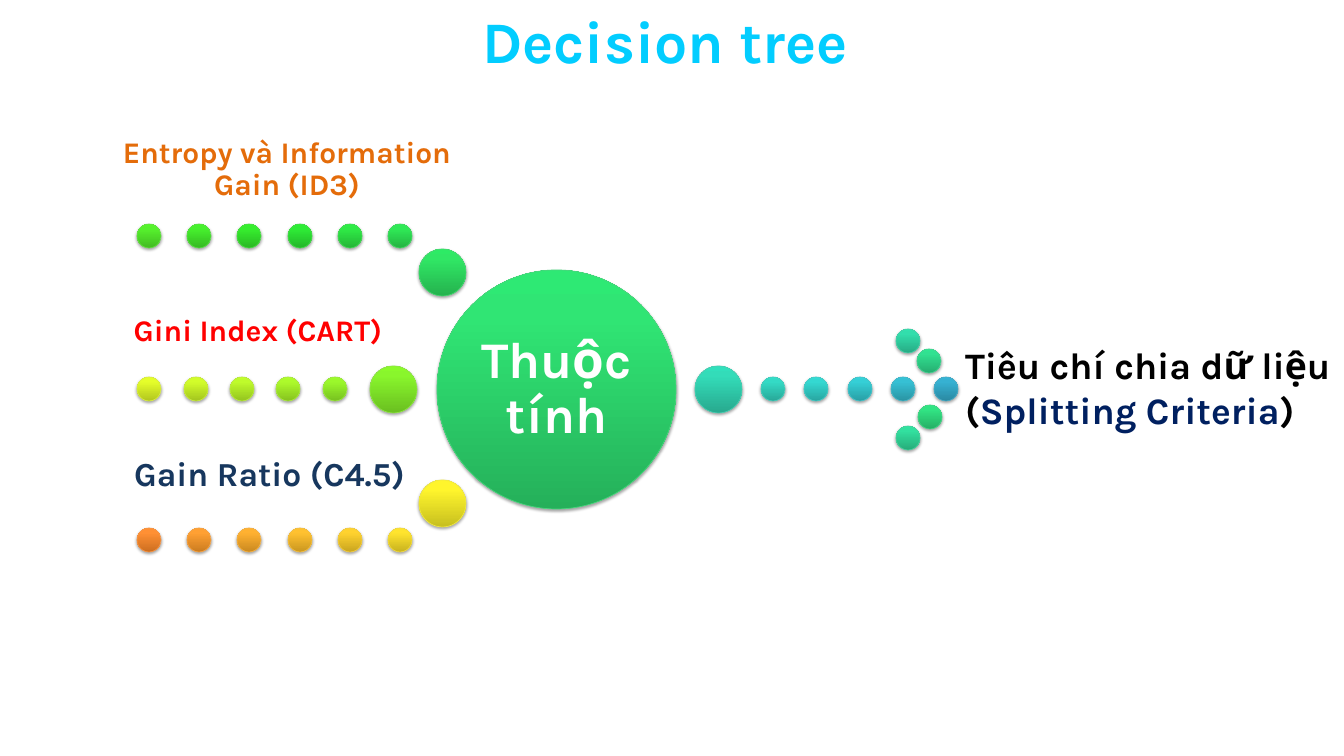
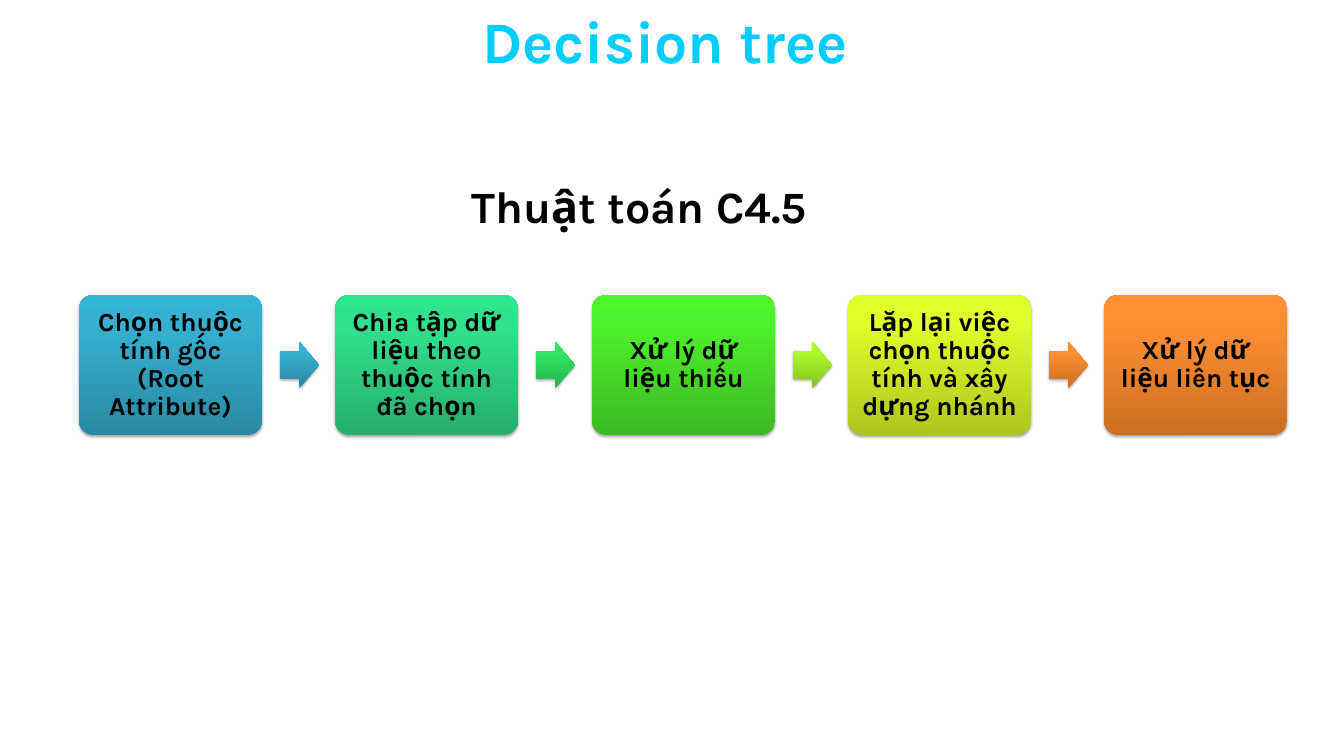
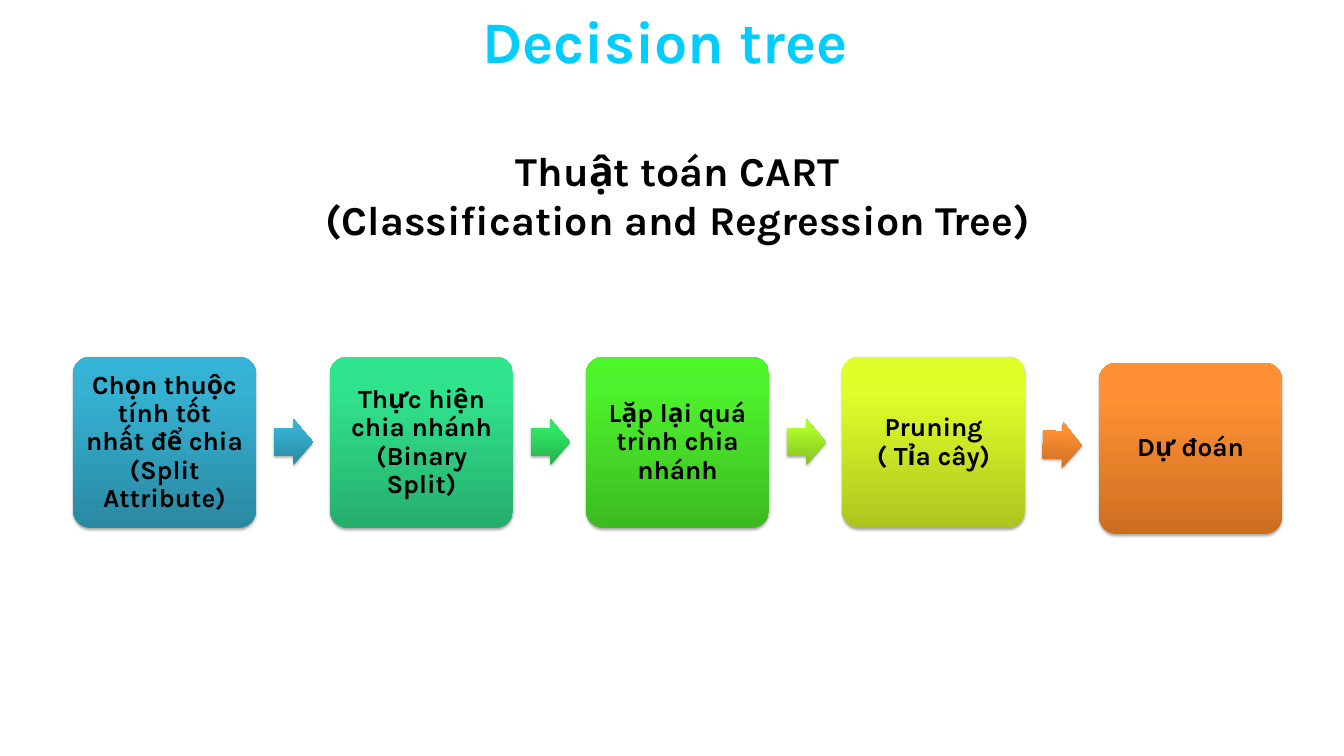
"""Build three decision tree slides: splitting criteria, C4.5 steps and CART steps."""
from colorsys import hls_to_rgb
from dataclasses import dataclass

from pptx import Presentation
from pptx.dml.color import RGBColor as RGB
from pptx.enum.shapes import MSO_SHAPE as SHAPE
from pptx.enum.text import MSO_ANCHOR as ANCHOR, PP_ALIGN as ALIGN
from pptx.oxml import parse_xml
from pptx.oxml.ns import nsdecls
from pptx.util import Pt

PX = 914400 / 67.2


@dataclass(frozen=True)
class Theme:
    """Colours, type sizes and the hue scale that runs from blue to orange."""
    font: str = "Karla"
    title: str = "02CDFF"
    ink: str = "000000"
    white: str = "FFFFFF"
    navy: str = "002060"
    orange: str = "E46C0A"
    red: str = "FF0000"
    blue: str = "17375E"
    title_size: int = 63
    hub_size: int = 55
    step_size: int = 28
    hues: tuple = (192.7, 27.1)
    edge: tuple = (0.519, 0.398, 0.917, 0.535, 0.622)
    stops: tuple = (
        (0, (0.588, 0.204, 0.729, 0.4, 0.463)),
        (80, (0.633, 0.477, 1, 0.518, 0.602)),
        (100, (0.664, 0.486, 1, 0.522, 0.606)),
    )


T = Theme()

TITLE = "Decision tree"
HUB = ("Thuộc tính", (437, 270, 239, 239), 11 / 33 - 1 / 33)
CRITERIA = [
    ("Entropy và Information Gain (ID3)", (101, 142, 372, 60), 32, T.orange),
    ("Gini Index (CART)", (73, 288, 370, 60), 32, T.red),
    ("Gain Ratio (C4.5)", (101, 434, 337, 60), 36, T.blue),
]
RESULT = [
    [("Tiêu chí chia dữ liệu", T.ink)],
    [("(", T.ink), ("Splitting Criteria", T.navy), (")", T.ink)],
]
LAST_HUE = 33
SMALL, BIG = 24, 47
DOT_ROWS = [
    (0, 934, 761, 377, 5),
    (12, 388, 137, 224, 6),
    (21, 323, 137, 377, 5),
    (28, 388, 137, 528, 6),
]
SINGLE_DOTS = [
    (5, 695, 366, BIG), (11, 419, 249, BIG), (20, 370, 366, BIG), (27, 419, 480, BIG),
    (6, 896, 329, SMALL), (7, 896, 426, SMALL), (8, 917, 349, SMALL), (9, 918, 405, SMALL),
]
FLOWS = [
    {
        "heading": ["Thuật toán C4.5"],
        "box": (465, 176, 532, 116), "size": 48, "align": ALIGN.LEFT,
        "first": 79, "last": 1104, "top": 295, "height": 140, "drop": 0, "tilt": 0,
        "steps": [
            "Chọn thuộc tính gốc (Root Attribute)",
            "Chia tập dữ liệu theo thuộc tính đã chọn",
            "Xử lý dữ liệu thiếu",
            "Lặp lại việc chọn thuộc tính và xây dựng nhánh",
            "Xử lý dữ liệu liên tục",
        ],
    },
    {
        "heading": ["Thuật toán CART", "(Classification and Regression Tree)"],
        "box": (269, 142, 818, 206), "size": 44, "align": ALIGN.CENTER,
        "first": 73, "last": 1099, "top": 357, "height": 171, "drop": 6, "tilt": 1.5,
        "steps": [
            "Chọn thuộc tính tốt nhất để chia (Split Attribute)",
            "Thực hiện chia nhánh (Binary Split)",
            "Lặp lại quá trình chia nhánh",
            "Pruning\n( Tỉa cây)",
            "Dự đoán",
        ],
    },
]
STEP_W, ARROW_W, ARROW_H, ARROW_GAP = 183, 39, 46, 18


def emu(box):
    """Turn px lengths into EMU."""
    return [round(v * PX) for v in box]


def spread(first, last, n):
    """Return n evenly spaced px positions."""
    return [round(first + (last - first) * i / (n - 1)) for i in range(n)]


def tone(t, scale):
    """Return the colour at t (0 to 1) on the hue scale."""
    sat, gain, cap, low, high = scale
    hue = T.hues[0] + (T.hues[1] - T.hues[0]) * t
    rgb = hls_to_rgb(hue / 360, low + (high - low) * t, min(cap, sat + gain * t))
    return "".join(f"{round(v * 255):02X}" for v in rgb)


def write(s, paras, size, align=ALIGN.LEFT, inset=(7, 3), spacing=None, anchor=ANCHOR.TOP):
    """Fill a shape with paragraphs, each a list of (text, colour) runs."""
    tf = s.text_frame
    side, edge = emu(inset)
    frame = dict(word_wrap=True, vertical_anchor=anchor, margin_left=side,
                 margin_right=side, margin_top=edge, margin_bottom=edge)
    for name, value in frame.items():
        setattr(tf, name, value)
    for i, runs in enumerate(paras):
        p = tf.add_paragraph() if i else tf.paragraphs[0]
        p.alignment, p.line_spacing = align, spacing
        for text, color in runs:
            for j, line in enumerate(text.split("\n")):
                if j:
                    p.add_line_break()
                r = p.add_run()
                r.text = line
                for name, value in dict(name=T.font, size=Pt(size), bold=True).items():
                    setattr(r.font, name, value)
                r.font.color.rgb = RGB.from_string(color)


def add_text(slide, box, *args, **kwargs):
    """Add a text box."""
    write(slide.shapes.add_textbox(*emu(box)), *args, **kwargs)


def add_glossy(slide, kind, box, t, adjust=(), outline=False):
    """Add a shape with the shared gradient and soft shadow."""
    s = slide.shapes.add_shape(kind, *emu(box))
    for i, value in enumerate(adjust):
        s.adjustments[i] = value
    s.fill.gradient()
    s.fill.gradient_angle = 90
    stops = "".join(f'<a:gs pos="{pos * 1000}"><a:srgbClr val="{tone(t, scale)}"/></a:gs>'
                    for pos, scale in T.stops)
    old = s._element.spPr.find(".//{*}gsLst")
    old.getparent().replace(old, parse_xml(f'<a:gsLst {nsdecls("a")}>{stops}</a:gsLst>'))
    if outline:
        s.line.color.rgb = RGB.from_string(tone(t, T.edge))
        s.line.width = Pt(0.75)
    else:
        s.line.fill.background()
    s.shadow.inherit = False
    s._element.spPr.find("{*}effectLst").append(parse_xml(
        f'<a:outerShdw {nsdecls("a")} blurRad="{Pt(3.1)}" dist="{Pt(1.8)}" dir="5400000" '
        'rotWithShape="0"><a:srgbClr val="000000"><a:alpha val="35000"/></a:srgbClr></a:outerShdw>'))
    return s


def add_slide(prs):
    """Add a blank slide with the shared title."""
    slide = prs.slides.add_slide(prs.slide_layouts[6])
    add_text(slide, (343, 11, 644, 65), [[(TITLE, T.title)]], T.title_size,
             ALIGN.CENTER, (0, 0), Pt(69.3))
    return slide


def add_criteria(prs):
    """Draw the dotted paths that lead through the hub to the criteria."""
    slide = add_slide(prs)
    add_text(slide, (958, 339, 398, 97), RESULT, 40)
    dots = SINGLE_DOTS + [
        (start + i, x, y, SMALL)
        for start, first, last, y, n in DOT_ROWS
        for i, x in enumerate(spread(first, last, n))]
    for hue, x, y, d in dots:
        add_glossy(slide, SHAPE.OVAL, (x, y, d, d), hue / LAST_HUE, outline=True)
    text, box, t = HUB
    hub = add_glossy(slide, SHAPE.OVAL, box, t, outline=True)
    write(hub, [[(text, T.white)]], T.hub_size, ALIGN.CENTER, (5, 5), 0.9, ANCHOR.MIDDLE)
    for text, box, size, color in CRITERIA:
        add_text(slide, box, [[(text, color)]], size, ALIGN.CENTER, (0, 0), 0.9, ANCHOR.BOTTOM)


def add_flow(prs, flow):
    """Draw a heading and a row of steps joined by arrows."""
    slide = add_slide(prs)
    add_text(slide, flow["box"], [[(line, T.ink)] for line in flow["heading"]],
             flow["size"], flow["align"])
    steps, top, h = flow["steps"], flow["top"], flow["height"]
    end = len(steps) - 1
    xs = spread(flow["first"], flow["last"], len(steps))
    for i, (x, text) in enumerate(zip(xs, steps)):
        y = top + (flow["drop"] if i == end else 0)
        s = add_glossy(slide, SHAPE.ROUNDED_RECTANGLE, (x, y, STEP_W, h), i / end, (0.1,))
        write(s, [[(text, T.ink)]], T.step_size, ALIGN.CENTER, (8, 8), 0.9, ANCHOR.MIDDLE)
    for i, x in enumerate(xs[:-1]):
        last = i == end - 1
        y = top + (h - ARROW_H) // 2 + (flow["drop"] // 2 if last else 0)
        s = add_glossy(slide, SHAPE.RIGHT_ARROW, (x + STEP_W + ARROW_GAP, y, ARROW_W, ARROW_H),
                       i / (end - 1), (0.6, 0.5))
        s.rotation = flow["tilt"] if last else 0


def main():
    """Build and save the slides."""
    prs = Presentation()
    prs.slide_width, prs.slide_height = emu((1344, 756))
    add_criteria(prs)
    for flow in FLOWS:
        add_flow(prs, flow)
    prs.save("out.pptx")


if __name__ == "__main__":
    main()
